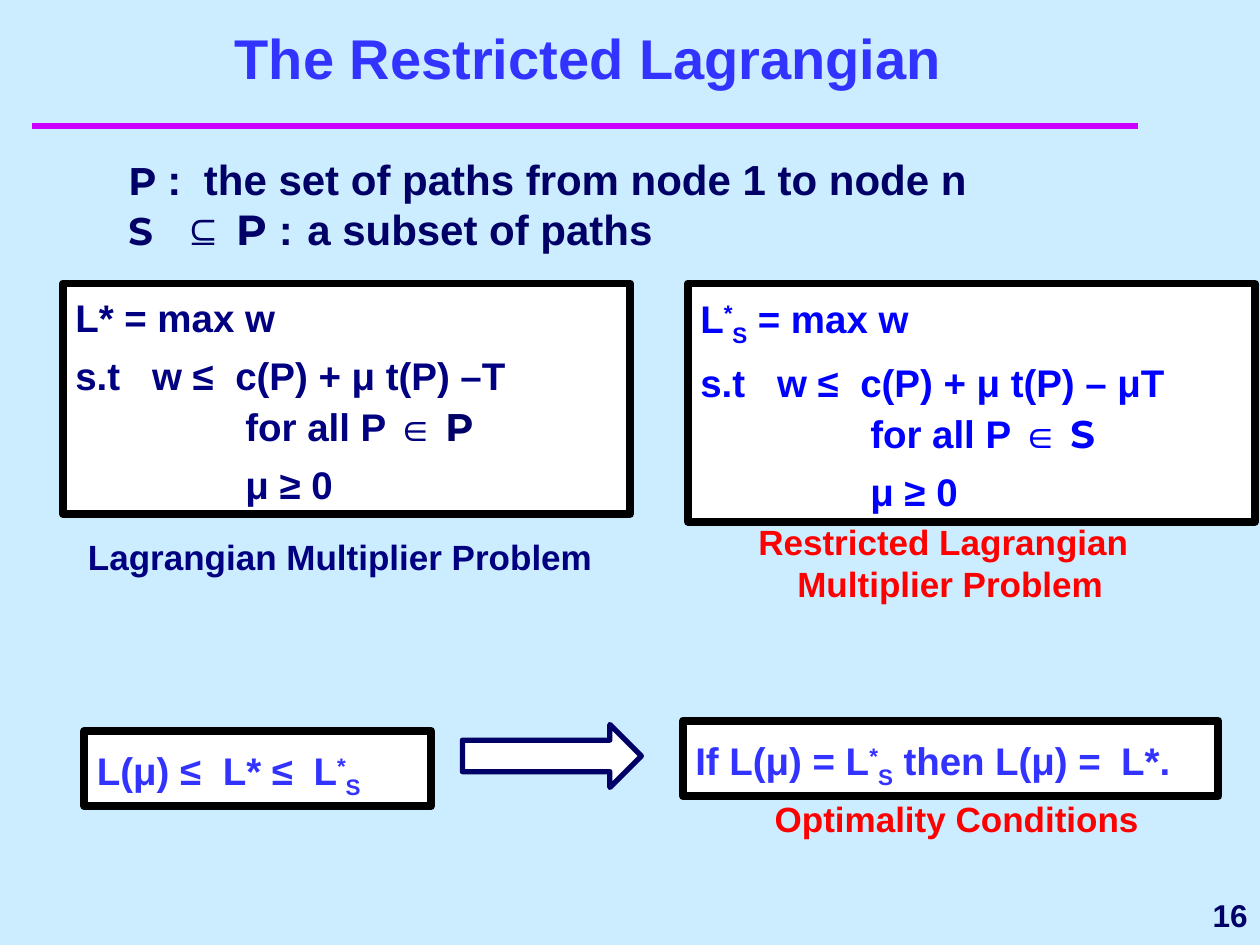
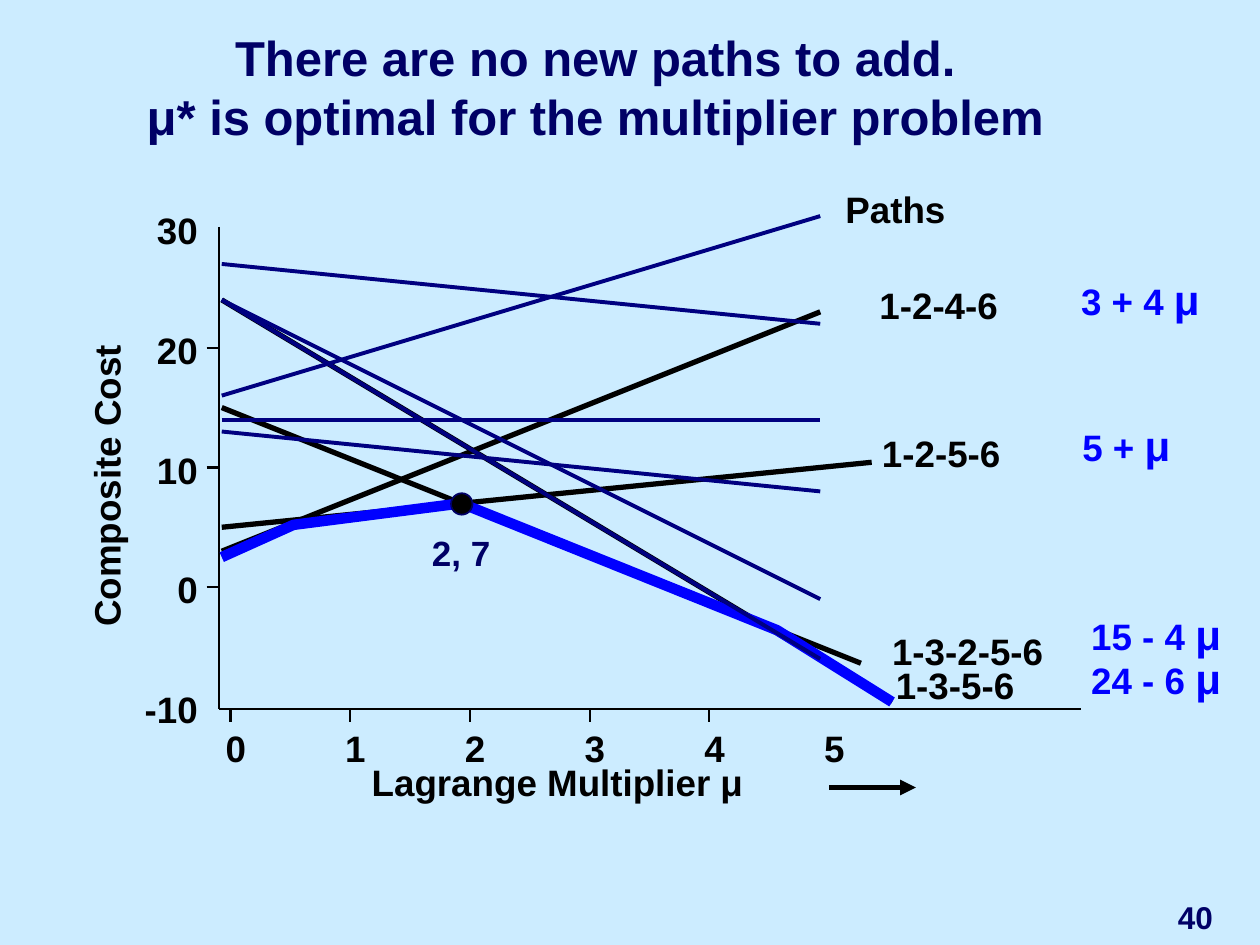
from lxml.etree import SubElement
from pptx import Presentation
from pptx.dml.color import RGBColor
from pptx.enum.shapes import MSO_CONNECTOR as Link, MSO_SHAPE as Shape
from pptx.enum.text import MSO_ANCHOR as Anchor, PP_ALIGN as Align
from pptx.oxml.ns import qn
from pptx.util import Inches, Pt

SKY, VIOLET, TITLE_BLUE = "CCECFF", "CC00FF", "3333FF"
INK, NAVY, BLUE, RED = "000066", "000080", "0000FF", "FF0000"
BLACK, WHITE = "000000", "FFFFFF"
INSET = (0.1, 0.05)

STAR = ("*", {"base": 30000})
SUB_S = ("S", {"base": -25000})


def script(letter, **style):
    return letter, {"font": "Montserrat", **style}


def problem(first_line, bound, path_set):
    return [
        {"runs": first_line},
        {"runs": ["s.t\tw ≤\tc(P) + μ t(P) – " .rstrip() + bound], "before": 4.1, "tabs": (0.61, 1.27)},
        {"runs": ["for all P ∈ ", path_set], "indent": 1.35},
        {"runs": ["μ ≥ 0"], "indent": 1.35, "before": 4.1},
    ]


DEFINITIONS = [
    {"runs": [script("P ", size=22), ":\tthe set of paths from node 1 to node n"], "tabs": (0.6,)},
    {"runs": [script("S", size=22), "\t⊆ ", script("P "), ":\ta subset of paths"],
     "tabs": (0.43, 1.42)},
]
FRAMES = [
    ((0.5, 2.25, 4.5, 1.83), NAVY, 1.1,
     problem(["L* = max w"], "T", script("P", color=INK))),
    ((5.46, 2.25, 4.5, 1.89), BLUE, 1.1,
     problem(["L", STAR, SUB_S, " = max w"], " μT", script("S"))),
    ((0.67, 5.8, 2.75, 0.6), TITLE_BLUE, 1.2,
     [{"runs": ["L(μ) ≤\tL* ≤\tL", STAR, SUB_S], "tabs": (1, 1.72)}]),
    ((5.42, 5.72, 4.25, 0.6), TITLE_BLUE, 1.2,
     [{"runs": ["If L(μ) = L", STAR, SUB_S, " then L(μ) =\tL*."], "tabs": (3.38,)}]),
]
CAPTIONS = [
    ((0.6, 4.2, 4.4, 0.47), NAVY, ["Lagrangian Multiplier Problem"]),
    ((5.92, 4.08, 3.5, 0.77), RED,
     ["Restricted Lagrangian", {"runs": ["Multiplier Problem"], "indent": 0.31}]),
    ((6.05, 6.28, 3.2, 0.47), RED, ["Optimality Conditions"]),
]

CONCLUSION = [
    {"runs": ["There are no new paths to add."], "right": 0.22},
    "μ* is optimal for the multiplier problem",
]
ACTIVE_PATHS = [(3, 4, 5), (24, -6, 5.6), (15, -4, 5.34), (5, 1, 5.43)]
OTHER_PATHS = [(14, 0, 5), (13, -1, 5), (24, -5, 5), (16, 3, 5), (27, -1, 5), (24, -6, 5)]
ENVELOPE = [(0, 2.5), (0.6, 5.2), (2, 7), (4.64, -3.6), (5.6, -9.6)]
OPTIMUM = (2, 7)
COSTS = range(-10, 31, 10)
MULTIPLIERS = range(6)
AXIS_X, AXIS_Y, AXIS_TOP, AXIS_END = 1.74, 5.63, 1.8, 8.58
PATH_NAMES = [
    ("Paths", 6.71, 1.48), ("1-2-4-6", 6.98, 2.24), ("1-2-5-6", 7, 3.42),
    ("1-3-2-5-6", 7.08, 4.99), ("1-3-5-6", 7.11, 5.26),
]
PATH_COSTS = [
    ("3 + 4 ", 8.58, 2.17), ("5 + ", 8.59, 3.33),
    ("15 - 4 ", 8.66, 4.83), ("24 - 6 ", 8.66, 5.18),
]


def rgb(value):
    return RGBColor.from_string(value)


def place(multiplier, cost):
    return 1.76 + 0.95 * multiplier, 4.66 - 0.095 * cost


def write(box, content, size, color, spacing=None, align=Align.LEFT, inset=INSET):
    frame = box.text_frame
    frame.word_wrap = True
    frame.vertical_anchor = Anchor.TOP
    frame.margin_left = frame.margin_right = Inches(inset[0])
    frame.margin_top = frame.margin_bottom = Inches(inset[1])
    for index, item in enumerate(content):
        item = {"runs": [item]} if isinstance(item, str) else item
        para = frame.add_paragraph() if index else frame.paragraphs[0]
        para.alignment = align
        if spacing:
            para.line_spacing = spacing
        if "before" in item:
            para.space_before = Pt(item["before"])
        props = para._p.get_or_add_pPr()
        for key, name in (("indent", "marL"), ("right", "marR")):
            if key in item:
                props.set(name, str(Inches(item[key])))
        if "tabs" in item:
            stops = SubElement(props, qn("a:tabLst"))
            for stop in item["tabs"]:
                SubElement(stops, qn("a:tab"), pos=str(Inches(stop)), algn="l")
        for part in item["runs"]:
            text, style = (part, {}) if isinstance(part, str) else part
            span = para.add_run()
            span.text = text
            span.font.name = style.get("font", "Arial")
            span.font.size = Pt(style.get("size", size))
            span.font.bold = True
            span.font.color.rgb = rgb(style.get("color", color))
            if "base" in style:
                span.font._element.set("baseline", str(style["base"]))


def add_text(page, area, content, size, color, **options):
    box = page.shapes.add_textbox(*map(Inches, area))
    write(box, content, size, color, **options)
    return box


def add_label(page, text, left, top, width=1.4, color=BLACK, align=Align.LEFT):
    return add_text(page, (left, top, width, 0.35), [text], 21, color, align=align, inset=(0, 0))


def paint(shape, fill, color, width):
    shape.shadow.inherit = False
    if fill:
        shape.fill.solid()
        shape.fill.fore_color.rgb = rgb(fill)
    else:
        shape.fill.background()
    shape.line.color.rgb = rgb(color)
    shape.line.width = Pt(width)


def add_block(page, kind, area, fill, color, width):
    shape = page.shapes.add_shape(kind, *map(Inches, area))
    paint(shape, fill, color, width)
    return shape


def add_line(page, start, end, color=BLACK, width=1.25, arrow=False):
    line = page.shapes.add_connector(Link.STRAIGHT, *map(Inches, (*start, *end)))
    line.line.color.rgb = rgb(color)
    line.line.width = Pt(width)
    if arrow:
        SubElement(line.line._get_or_add_ln(), qn("a:tailEnd"), type="triangle")
    SubElement(line._element.spPr, qn("a:effectLst"))


def add_page(deck, title, area, size, color, number, number_area, number_align):
    page = deck.slides.add_slide(deck.slide_layouts[6])
    page.background.fill.solid()
    page.background.fill.fore_color.rgb = rgb(SKY)
    add_text(page, area, title, size, color, align=Align.CENTER)
    add_text(page, number_area, [number], 18, INK, align=number_align)
    return page


def build_restricted(deck):
    page = add_page(deck, ["The Restricted Lagrangian"], (0.42, 0.14, 8.5, 0.62), 32, TITLE_BLUE,
                    "16", (8.42, 7.06, 1.58, 0.4), Align.RIGHT)
    add_line(page, (0.25, 1), (9.03, 1), VIOLET, 4)
    add_text(page, (0.92, 1.17, 7.08, 0.9), DEFINITIONS, 24, INK)
    for area, color, spacing, content in FRAMES:
        box = add_block(page, Shape.RECTANGLE, area, WHITE, BLACK, 4.5)
        write(box, content, 22, color, spacing=spacing)
    for area, color, content in CAPTIONS:
        add_text(page, area, content, 20, color)
    add_block(page, Shape.RIGHT_ARROW, (3.67, 5.75, 1.42, 0.5), WHITE, INK, 3)


def add_axes(page):
    add_line(page, (AXIS_X, AXIS_TOP), (AXIS_X, AXIS_Y))
    add_line(page, (AXIS_X, AXIS_Y), (AXIS_END, AXIS_Y))
    for cost in COSTS:
        y = place(0, cost)[1]
        add_label(page, str(cost), 0.97, y - 0.16, 0.6, align=Align.RIGHT)
        if AXIS_TOP < y - 0.1 and cost > min(COSTS):
            add_line(page, (AXIS_X - 0.1, y), (AXIS_X, y))
    for multiplier in MULTIPLIERS:
        x = place(multiplier, 0)[0] + 0.07
        add_label(page, str(multiplier), x - 0.04, 5.76, 0.3)
        if multiplier < max(MULTIPLIERS):
            add_line(page, (x, AXIS_Y), (x, AXIS_Y + 0.1))
    add_label(page, "Lagrange Multiplier μ", 2.95, 6.03, 3.3)
    add_line(page, (6.58, 6.25), (7.27, 6.25), width=3, arrow=True)
    add_label(page, "Composite Cost", -0.41, 3.68, 2.5, align=Align.CENTER).rotation = 270


def add_paths(page, paths, color, width):
    for base, slope, last in paths:
        add_line(page, place(0, base), place(last, base + slope * last), color, width)


def build_chart(deck):
    page = add_page(deck, CONCLUSION, (0.75, 0.17, 8.17, 1.04), 28, INK,
                    "40", (9.25, 7.08, 0.67, 0.4), Align.LEFT)
    add_axes(page)
    add_paths(page, ACTIVE_PATHS, BLACK, 3)
    points = [tuple(map(Inches, place(*point))) for point in ENVELOPE]
    outline = page.shapes.build_freeform(*points[0])
    outline.add_line_segments(points[1:], close=False)
    paint(outline.convert_to_shape(), None, BLUE, 6)
    add_paths(page, OTHER_PATHS, NAVY, 2.25)
    for name, left, top in PATH_NAMES:
        add_label(page, name, left, top)
    for cost, left, top in PATH_COSTS:
        add_label(page, {"runs": [cost, ("μ", {"size": 24})]}, left, top, 1.3, BLUE)
    x, y = place(*OPTIMUM)
    add_block(page, Shape.OVAL, (x - 0.08, y - 0.08, 0.17, 0.17), BLACK, INK, 1)
    add_text(page, (3.33, 4.17, 1.25, 0.44), ["2, 7"], 20, INK)


def main():
    """Build the two slides on Lagrangian path bounds."""
    deck = Presentation()
    deck.slide_width, deck.slide_height = Inches(10), Inches(7.5)
    build_restricted(deck)
    build_chart(deck)
    deck.save("out.pptx")


if __name__ == "__main__":
    main()
